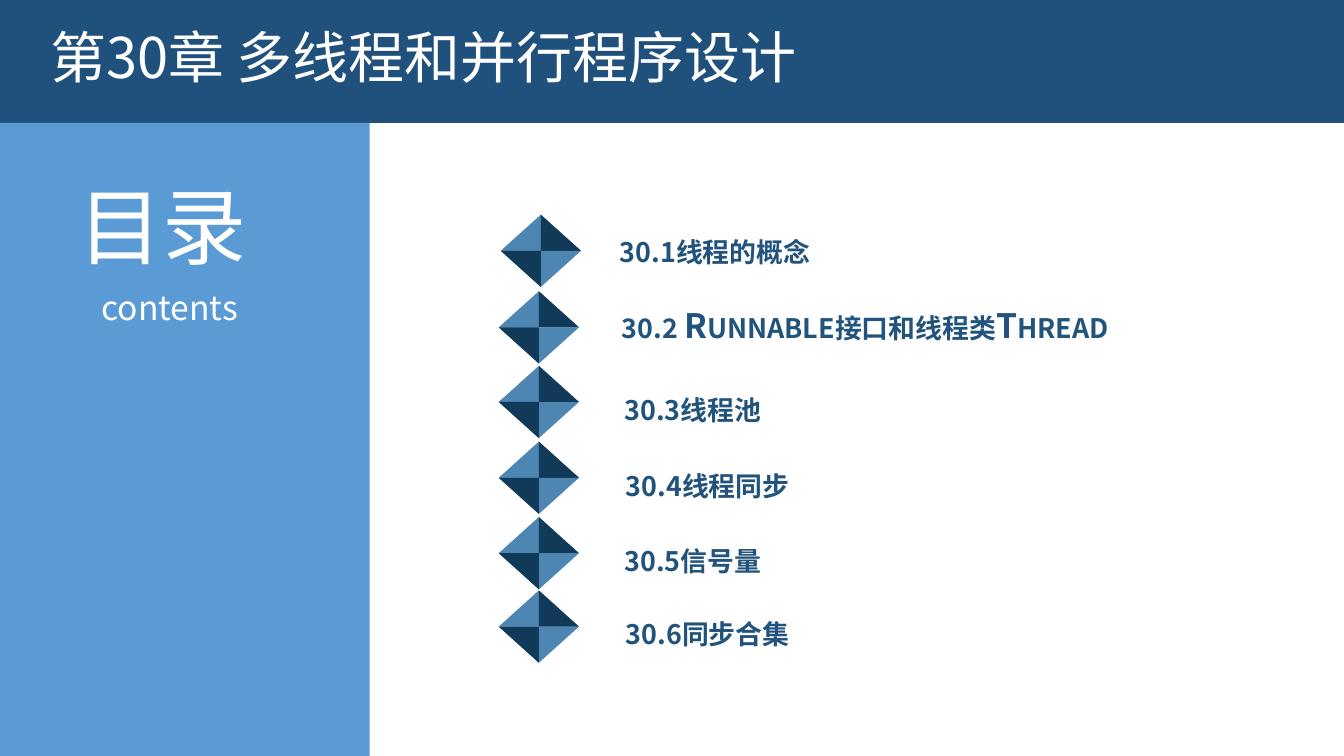
"""Build the contents slide of a chapter on threads and parallel programming."""
import pptx
import pptx.dml.color
import pptx.enum.shapes
import pptx.enum.text
import pptx.oxml.ns
import pptx.util
from lxml import etree

Cm = pptx.util.Cm
KIND = pptx.enum.shapes.MSO_SHAPE
FONT = "Noto Sans CJK SC"
WHITE, NAVY, SKY = "FFFFFF", "20517C", "5B9BD5"
LIGHT, DARK, INK = "4D86B3", "113A59", "21537D"


def tint(item, tone):
    item.fill.solid()
    item.fill.fore_color.rgb = pptx.dml.color.RGBColor.from_string(tone)


def write(text, left, top, width, height, size, tone=WHITE, bold=False,
          caps=False, wrap=True, inset=(0.25, 0.13), align=None):
    box = slide.shapes.add_textbox(Cm(left), Cm(top), Cm(width), Cm(height))
    frame = box.text_frame
    frame.word_wrap = wrap
    frame.auto_size = pptx.enum.text.MSO_AUTO_SIZE.SHAPE_TO_FIT_TEXT
    frame.margin_left = frame.margin_right = Cm(inset[0])
    frame.margin_top = frame.margin_bottom = Cm(inset[1])
    line = frame.paragraphs[0]
    line.alignment = align
    run = line.add_run()
    run.text = text
    run.font.size = pptx.util.Pt(size)
    run.font.bold = bold
    tint(run.font, tone)
    run.font.name = FONT
    props = run.font._element
    east = etree.SubElement(props, pptx.oxml.ns.qn("a:ea"))
    east.set("typeface", FONT)
    if caps:
        props.set("cap", "small")


deck = pptx.Presentation()
deck.slide_width, deck.slide_height = Cm(33.87), Cm(19.05)
slide = deck.slides.add_slide(deck.slide_layouts[6])

head = slide.shapes.add_shape(KIND.RECTANGLE, 0, 0, Cm(33.87), Cm(3.1))
side = slide.shapes.add_shape(KIND.RECTANGLE, 0, Cm(3.1), Cm(9.32), Cm(15.95))
parts = [(head, NAVY), (side, SKY)]

just = pptx.enum.text.PP_ALIGN.JUSTIFY
write("第30章 多线程和并行程序设计", 1.02, 0.43, 25.78, 1.96, 40)
write("目录", 1.73, 4.27, 5.56, 2.82, 60, align=just)
write("contents", 2.31, 7.09, 4.42, 1.3, 24, align=just)

HALF, RISE = 1.01, 0.91
topics = [
    ("30.1线程的概念", 12.62, 5.41, 15.42, 5.66, True),
    ("30.2 Runnable接口和线程类Thread", 12.57, 7.34, 15.47, 7.59, False),
    ("30.3线程池", 12.57, 9.22, 15.54, 9.65, True),
    ("30.4线程同步", 12.57, 11.13, 15.57, 11.56, True),
    ("30.5信号量", 12.57, 13.03, 15.54, 13.46, True),
    ("30.6同步合集", 12.57, 14.88, 15.57, 15.29, True),
]
for text, left, top, start, level, wrap in topics:
    gem = slide.shapes.add_group_shape()
    mid, waist = left + HALF, top + RISE
    for turn, edge, tip, end in ((0, top, top, left + 2 * HALF),
                                 (180, waist, top + 2 * RISE, left)):
        face = gem.shapes.add_shape(KIND.ISOSCELES_TRIANGLE, Cm(left), Cm(edge),
                                    Cm(2 * HALF), Cm(RISE))
        face.rotation = turn
        path = gem.shapes.build_freeform(Cm(mid), Cm(tip))
        path.add_line_segments([(Cm(mid), Cm(waist)), (Cm(end), Cm(waist))])
        parts += [(face, LIGHT), (path.convert_to_shape(), DARK)]
    write(text, start, level, 15, 1.22, 24, tone=INK, bold=True, caps=True,
          wrap=wrap, inset=(0.2, 0.1))

for shape, tone in parts:
    tint(shape, tone)
    shape.line.fill.background()
    shape.shadow.inherit = False

deck.save("out.pptx")
